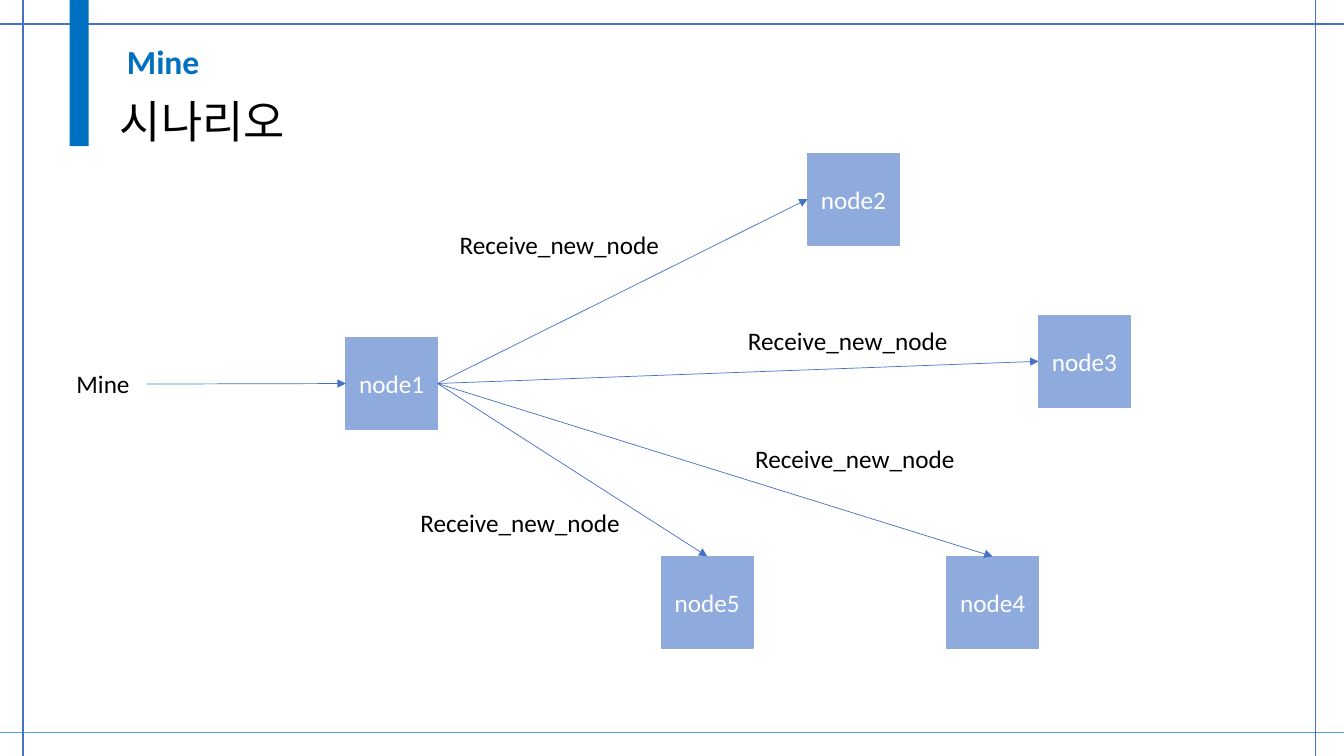
from typing import NamedTuple

from lxml import etree
from pptx import Presentation
from pptx.dml.color import RGBColor
from pptx.enum.shapes import MSO_CONNECTOR, MSO_SHAPE
from pptx.enum.text import MSO_ANCHOR, MSO_AUTO_SIZE, PP_ALIGN
from pptx.oxml.ns import qn
from pptx.util import Inches, Pt

STRAIGHT = MSO_CONNECTOR.STRAIGHT
RECTANGLE = MSO_SHAPE.RECTANGLE
TOP, MIDDLE, BOTTOM = MSO_ANCHOR.TOP, MSO_ANCHOR.MIDDLE, MSO_ANCHOR.BOTTOM
LEFT, CENTER = PP_ALIGN.LEFT, PP_ALIGN.CENTER
GROW = MSO_AUTO_SIZE.SHAPE_TO_FIT_TEXT

WIDTH, HEIGHT = 13.33, 7.5
NODE_SIZE = 0.91
TOP_SITE, LEFT_SITE, RIGHT_SITE = 0, 1, 3
BLUE, LIGHT_BLUE, ACCENT, NODE_BLUE = "4472C4", "5B9BD5", "0070C0", "8FAADC"
BLACK, WHITE = "000000", "FFFFFF"


class Rule(NamedTuple):
    x1: float
    y1: float
    x2: float
    y2: float
    color: str = BLUE
    weight: float = 1


class Node(NamedTuple):
    text: str
    left: float
    top: float


class Label(NamedTuple):
    text: str
    left: float
    top: float
    width: float = 2.21
    height: float = 0.4
    size: int = 18


class Message(NamedTuple):
    target: str
    site: int


RULES = [
    Rule(0, 0.24, WIDTH, 0.24),
    Rule(0, 7.27, WIDTH, 7.27, LIGHT_BLUE),
    Rule(0.23, 0, 0.23, HEIGHT),
    Rule(13.05, 0, 13.05, HEIGHT),
]
NODES = [
    Node("node5", 6.56, 5.52),
    Node("node1", 3.43, 3.35),
    Node("node4", 9.39, 5.52),
    Node("node3", 10.3, 3.13),
    Node("node2", 8.01, 1.52),
]
MESSAGES = [
    Message("node2", LEFT_SITE),
    Message("node5", TOP_SITE),
    Message("node3", LEFT_SITE),
    Message("node4", TOP_SITE),
]
RECEIVE = "Receive_new_node"
LABELS = [
    Label("시나리오", 1.09, 0.88, 2, 0.64, 32),
    Label(RECEIVE, 4.46, 2.23),
    Label(RECEIVE, 4.07, 4.98),
    Label(RECEIVE, 7.39, 4.35),
    Label(RECEIVE, 7.32, 3.18),
    Label("Mine", 0.66, 3.61, 0.79),
]


def rgb(color: str) -> RGBColor:
    return RGBColor.from_string(color)


def apply(target, values: dict) -> None:
    for attribute, value in values.items():
        setattr(target, attribute, value)


def write(shape, text: str, size: int, color: str, bold: bool = False,
          align=LEFT, spacing: float = 1.0, **frame_format) -> None:
    frame = shape.text_frame
    apply(frame, frame_format)
    paragraph = frame.paragraphs[0]
    apply(paragraph, {"alignment": align, "line_spacing": spacing})
    run = paragraph.add_run()
    run.text = text
    apply(run.font, {"name": "Calibri", "size": Pt(size), "bold": bold})
    run.font.color.rgb = rgb(color)


def add_block(slide, left: float, top: float, width: float, height: float, color: str):
    block = slide.shapes.add_shape(
        RECTANGLE, Inches(left), Inches(top), Inches(width), Inches(height))
    block.shadow.inherit = False
    block.fill.solid()
    block.fill.fore_color.rgb = rgb(color)
    block.line.fill.background()
    return block


def add_node(slide, node: Node):
    box = add_block(slide, node.left, node.top, NODE_SIZE, NODE_SIZE, NODE_BLUE)
    box.line.color.rgb = rgb(NODE_BLUE)
    box.line.width = Pt(1)
    write(box, node.text, 18, WHITE, align=CENTER, vertical_anchor=MIDDLE, word_wrap=True)
    return box


def add_rule(slide, rule: Rule):
    line = slide.shapes.add_connector(
        STRAIGHT, Inches(rule.x1), Inches(rule.y1), Inches(rule.x2), Inches(rule.y2))
    line.line.color.rgb = rgb(rule.color)
    line.line.width = Pt(rule.weight)
    etree.SubElement(line._element.spPr, qn("a:effectLst"))
    return line


def add_arrow(slide, x: float, y: float, target, site: int):
    arrow = add_rule(slide, Rule(x, y, x + 1, y, BLUE, 0.5))
    etree.SubElement(arrow.line._get_or_add_ln(), qn("a:tailEnd"), type="triangle")
    arrow.end_connect(target, site)
    return arrow


def add_label(slide, label: Label) -> None:
    box = slide.shapes.add_textbox(
        Inches(label.left), Inches(label.top), Inches(label.width), Inches(label.height))
    write(box, label.text, label.size, BLACK,
          vertical_anchor=TOP, word_wrap=False, auto_size=GROW)


presentation = Presentation()
apply(presentation, {"slide_width": Inches(WIDTH), "slide_height": Inches(HEIGHT)})
slide = presentation.slides.add_slide(presentation.slide_layouts[6])

# Frame and accent bar
for rule in RULES:
    add_rule(slide, rule)
add_block(slide, 0.69, 0, 0.19, 1.45, ACCENT)

# Heading
heading = slide.shapes.add_textbox(Inches(1.16), Inches(0.4), Inches(2.81), Inches(0.46))
write(heading, "Mine", 24, ACCENT, bold=True, spacing=0.9,
      vertical_anchor=BOTTOM, word_wrap=True)

# Nodes and the messages that node1 sends
boxes = {node.text: add_node(slide, node) for node in NODES}
sender = boxes["node1"]
for message in MESSAGES:
    arrow = add_arrow(slide, 4.34, 3.81, boxes[message.target], message.site)
    arrow.begin_connect(sender, RIGHT_SITE)

# Subtitle, arrow labels and the mining request
for label in LABELS:
    add_label(slide, label)
add_arrow(slide, 1.46, 3.81, sender, LEFT_SITE)

presentation.save("out.pptx")
